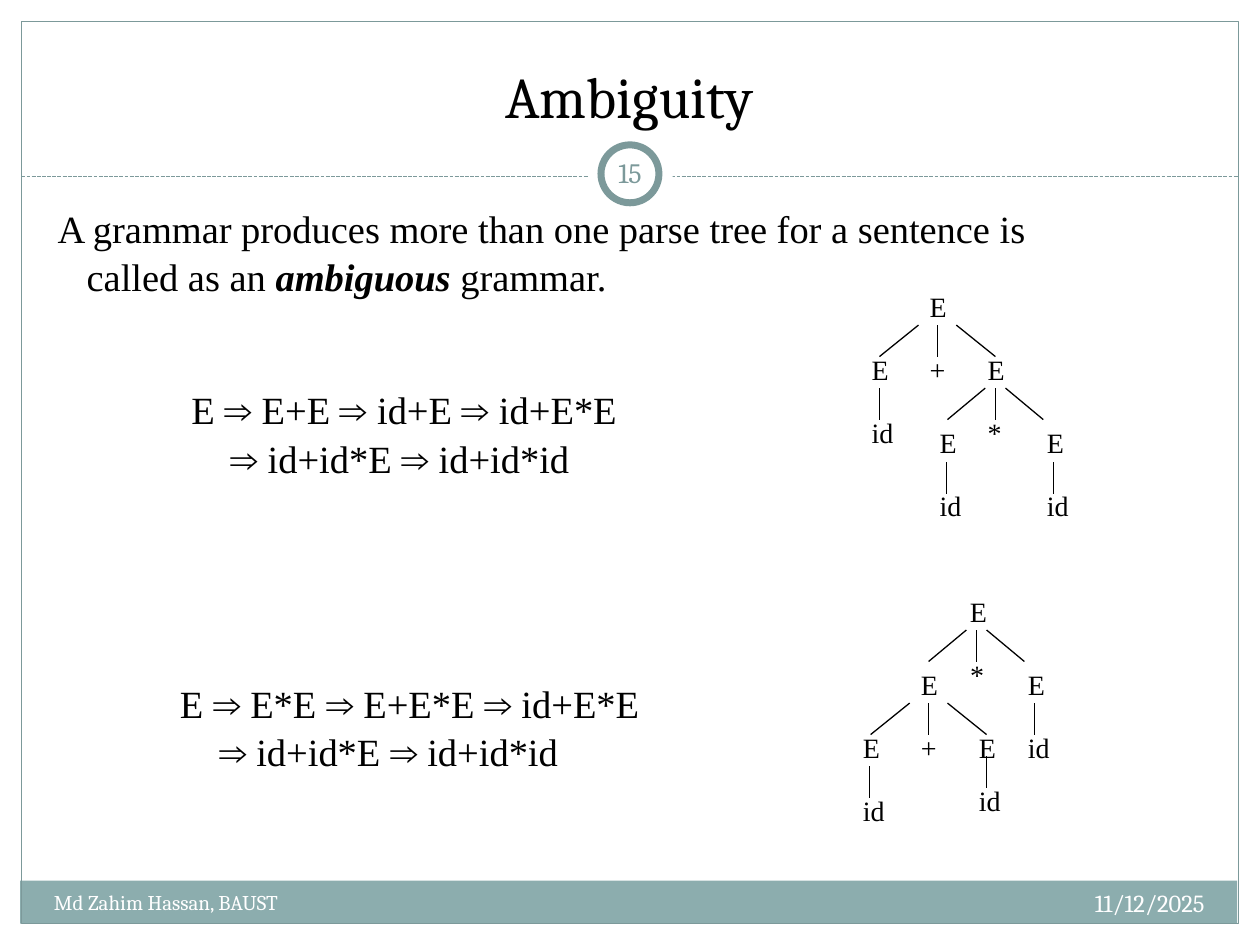
from lxml import etree
from pptx import Presentation
from pptx.dml.color import RGBColor
from pptx.enum import dml, shapes, text
from pptx.oxml.ns import qn
from pptx.util import Inches, Pt

BLACK = RGBColor(0x00, 0x00, 0x00)
WHITE = RGBColor(0xFF, 0xFF, 0xFF)
TEAL = RGBColor(0x7C, 0x99, 0x9A)
LIGHT_TEAL = RGBColor(0x8C, 0xAD, 0xAE)
HEADING_FONT = "Cambria"
BODY_FONT = "Times New Roman"
LEFT, CENTER, RIGHT = text.PP_ALIGN.LEFT, text.PP_ALIGN.CENTER, text.PP_ALIGN.RIGHT
TOP, MIDDLE, BOTTOM = text.MSO_ANCHOR.TOP, text.MSO_ANCHOR.MIDDLE, text.MSO_ANCHOR.BOTTOM


def add_text(parent, box, lines, size, font=BODY_FONT, color=BLACK, align=LEFT,
             anchor=TOP, wrap=True, inset=None, spacing=None, second_indent=0):
    shape = parent.shapes.add_textbox(*map(Inches, box))
    frame = shape.text_frame
    frame.word_wrap = wrap
    frame.vertical_anchor = anchor
    if inset is not None:
        frame.margin_left = frame.margin_right = Inches(inset)
        frame.margin_top = frame.margin_bottom = Inches(inset)
    for index, runs in enumerate(lines):
        paragraph = frame.paragraphs[0] if index == 0 else frame.add_paragraph()
        paragraph.alignment = align
        paragraph.line_spacing = spacing
        if index:
            paragraph._p.get_or_add_pPr().set("marL", str(Inches(second_indent)))
        for position, words in enumerate(runs):
            run = paragraph.add_run()
            run.text = words
            run.font.name = font
            run.font.size = Pt(size)
            run.font.color.rgb = color
            if position == 1:
                run.font.bold = run.font.italic = True


def add_line(parent, x1, y1, x2, y2, color=BLACK):
    line = parent.shapes.add_connector(
        shapes.MSO_CONNECTOR.STRAIGHT, *map(Inches, (x1, y1, x2, y2)))
    line.line.color.rgb = color
    line.line.width = Pt(0.75)
    etree.SubElement(line._element.spPr, qn("a:effectLst"))
    return line


presentation = Presentation()
presentation.slide_width = Inches(10)
presentation.slide_height = Inches(7.5)
slide = presentation.slides.add_slide(presentation.slide_layouts[6])

RECTANGLE, OVAL = shapes.MSO_SHAPE.RECTANGLE, shapes.MSO_SHAPE.OVAL
divider_drawn = False
for kind, box, fill, outline in [
    (RECTANGLE, (0.16, 6.99, 9.66, 0.34), LIGHT_TEAL, None),
    (RECTANGLE, (0.17, 0.17, 9.66, 7.16), None, 0.75),
    (OVAL, (4.67, 1.05, 0.67, 0.67), WHITE, None),
    (OVAL, (4.77, 1.15, 0.46, 0.46), WHITE, 4),
]:
    if kind == OVAL and not divider_drawn:
        divider = add_line(slide, 0.17, 1.4, 9.83, 1.4, TEAL)
        divider.line.dash_style = dml.MSO_LINE.SQUARE_DOT
        divider_drawn = True
    shape = slide.shapes.add_shape(kind, *map(Inches, box))
    shape.shadow.inherit = False
    if fill is None:
        shape.fill.background()
    else:
        shape.fill.solid()
        shape.fill.fore_color.rgb = fill
    if outline is None:
        shape.line.fill.background()
    else:
        shape.line.color.rgb = TEAL
        shape.line.width = Pt(outline)

add_text(slide, (0.33, 0.25, 9.33, 0.83), [["Ambiguity"]], 33,
         font=HEADING_FONT, align=CENTER, anchor=BOTTOM)
add_text(slide, (6.33, 7, 3.33, 0.4), [["11/12/2025"]], 14,
         font=HEADING_FONT, color=WHITE, align=RIGHT)
add_text(slide, (0.33, 7.01, 3.92, 0.4), [["Md Zahim Hassan, BAUST"]], 12,
         font=HEADING_FONT, color=WHITE)
add_text(slide, (4.75, 1.13, 0.5, 0.48), [["15"]], 16,
         font=HEADING_FONT, color=TEAL, align=CENTER, anchor=MIDDLE, inset=0.05)

add_text(slide, (0.36, 1.56, 8.91, 0.84),
         [["A grammar produces more than one parse tree for a sentence is"],
          ["called as an ", "ambiguous", " grammar."]],
         22, spacing=1.05, second_indent=0.23)
for box, first_step in [
    ((1.42, 3, 3.95, 0.84), "E ⇒ E+E ⇒ id+E ⇒ id+E*E"),
    ((1.33, 5.33, 4.22, 0.84), "E ⇒ E*E ⇒ E+E*E ⇒ id+E*E"),
]:
    add_text(slide, box, [[first_step], ["⇒ id+id*E ⇒ id+id*id"]], 22,
             wrap=False, spacing=1.05, second_indent=0.31)

sum_tree = {
    "nodes": [("E", 7.28, 2.25), ("E", 6.82, 2.75), ("+", 7.28, 2.75), ("E", 7.74, 2.75),
              ("id", 6.82, 3.25), ("*", 7.74, 3.25), ("E", 7.36, 3.33), ("E", 8.21, 3.33),
              ("id", 7.36, 3.83), ("id", 8.21, 3.83)],
    "forks": [(7.44, 2.58, 0.15, 0.46), (7.9, 3.08, 0.08, 0.38)],
    "stems": [(6.98, 3.08), (7.51, 3.67), (8.36, 3.67)],
}
product_tree = {
    "nodes": [("E", 7.6, 4.67), ("*", 7.6, 5.17), ("E", 7.21, 5.25), ("E", 8.06, 5.25),
              ("E", 6.75, 5.75), ("+", 7.21, 5.75), ("E", 7.67, 5.75), ("id", 8.06, 5.75),
              ("id", 7.67, 6.17), ("id", 6.75, 6.25)],
    "forks": [(7.75, 5, 0.08, 0.38), (7.37, 5.58, 0.15, 0.46)],
    "stems": [(8.21, 5.58), (7.83, 6), (6.9, 6.08)],
}
NODE_WIDTHS = {"E": 0.34, "+": 0.33, "*": 0.31, "id": 0.38}
BRANCH_HEIGHT = 0.25

for tree in (product_tree, sum_tree):
    group = slide.shapes.add_group_shape()
    for symbol, left, top in tree["nodes"]:
        add_text(group, (left, top, NODE_WIDTHS[symbol], 0.37), [[symbol]], 16, wrap=False)
    for x, y, near, far in tree["forks"]:
        for side in (-1, 0, 1):
            add_line(group, x + side * near, y, x + side * far, y + BRANCH_HEIGHT)
    for x, y in tree["stems"]:
        add_line(group, x, y, x, y + BRANCH_HEIGHT)

presentation.save("out.pptx")
